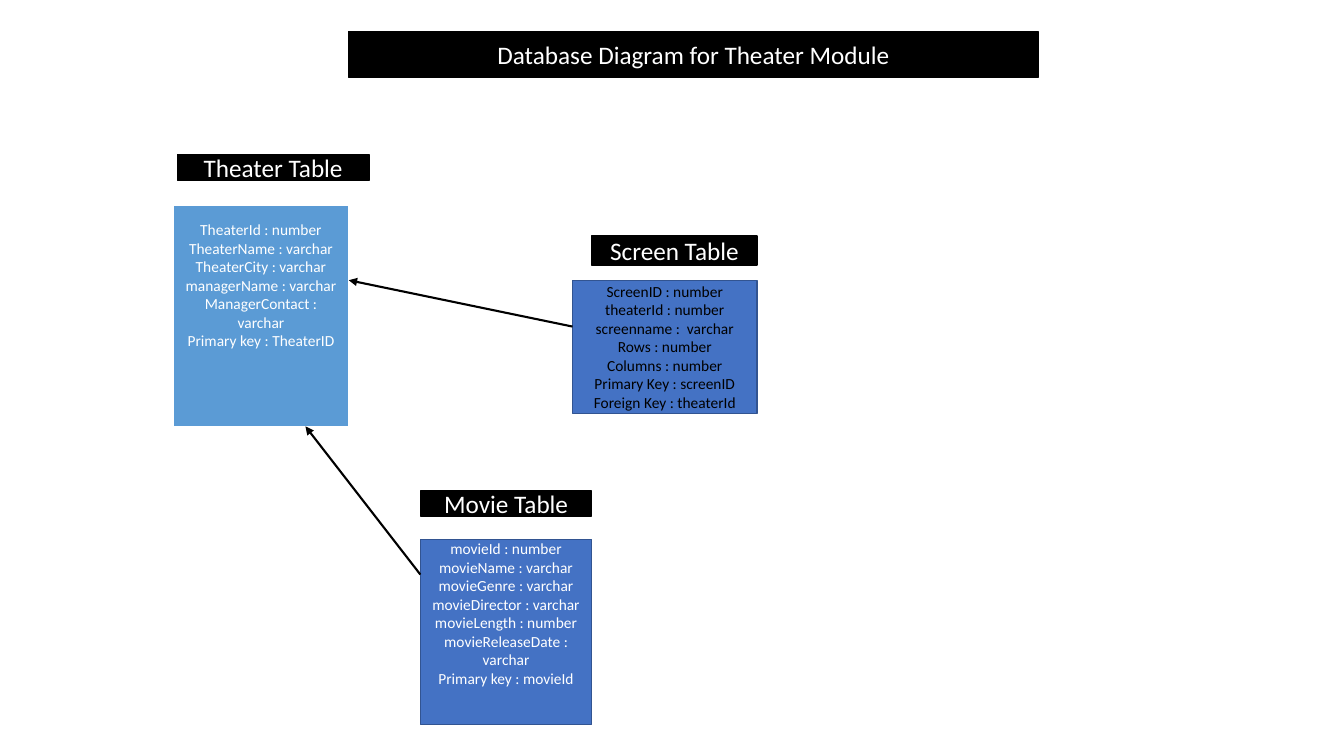
from pptx import Presentation
from pptx.dml.color import RGBColor
from pptx.enum.shapes import MSO_CONNECTOR, MSO_SHAPE
from pptx.enum.text import MSO_ANCHOR, MSO_AUTO_SIZE, PP_ALIGN
from pptx.oxml.ns import qn
from pptx.util import Inches, Pt
from lxml import etree

RECT = MSO_SHAPE.RECTANGLE
LINE = MSO_CONNECTOR.STRAIGHT
MIDDLE = MSO_ANCHOR.MIDDLE
CENTER = PP_ALIGN.CENTER
NO_FIT = MSO_AUTO_SIZE.NONE

BLACK = RGBColor(0x00, 0x00, 0x00)
WHITE = RGBColor(0xFF, 0xFF, 0xFF)
BLUE = RGBColor(0x44, 0x72, 0xC4)
NAVY = RGBColor(0x32, 0x54, 0x91)
SKY = RGBColor(0x5B, 0x9B, 0xD5)

# Name, header area, field area, fill, edge, edge width, ink, space below, fields.
# Areas are left, top, width, height in percent of the slide.
TABLES = [
    ("Screen Table", (44.03, 31.2, 12.3, 3.87), (42.6, 37.07, 13.73, 17.6),
     BLUE, NAVY, 1, BLACK, 0.05,
     ["ScreenID : number", "theaterId : number", "screenname :  varchar",
      "Rows : number", "Columns : number", "Primary Key : screenID",
      "Foreign Key : theaterId"]),
    ("Theater Table", (13.2, 20.4, 14.25, 3.47), (12.9, 27.07, 13.05, 29.47),
     SKY, WHITE, 1.5, WHITE, 0.66,
     ["TheaterId : number", "TheaterName : varchar", "TheaterCity : varchar",
      "managerName : varchar", "ManagerContact : varchar",
      "Primary key : TheaterID"]),
    ("Movie Table", (31.28, 64.93, 12.75, 3.33), (31.28, 71.33, 12.75, 24.53),
     BLUE, NAVY, 1, WHITE, 0.42,
     ["movieId : number", "movieName : varchar", "movieGenre : varchar",
      "movieDirector : varchar", "movieLength : number",
      "movieReleaseDate : varchar", "Primary key : movieId"]),
]

# Start and end of each foreign key arrow, in percent of the slide
LINKS = [
    ((42.6, 43.2), (25.95, 37.07)),
    ((31.28, 76), (22.73, 56.4)),
]


class Board:
    font = "Calibri"
    head = 18
    body = 11

    def __init__(self, deck):
        self.wide, self.high = deck.slide_width, deck.slide_height
        self.slide = deck.slides.add_slide(deck.slide_layouts[5])

    def spot(self, x, y):
        return round(self.wide * x / 100), round(self.high * y / 100)

    def area(self, left, top, width, height):
        return self.spot(left, top) + self.spot(width, height)

    def paint(self, shape, fill, edge, width):
        shape.fill.solid()
        shape.fill.fore_color.rgb = fill
        shape.line.color.rgb = edge
        shape.line.width = Pt(width)

    def text(self, shape, lines, size, ink, below=0.05):
        frame = shape.text_frame
        frame.word_wrap = True
        frame.auto_size = NO_FIT
        frame.vertical_anchor = MIDDLE
        frame.margin_bottom = Inches(below)
        for i, line in enumerate(lines):
            para = frame.add_paragraph() if i else frame.paragraphs[0]
            para.alignment = CENTER
            run = para.add_run()
            run.text = line
            run.font.name = self.font
            run.font.size = Pt(size)
            run.font.color.rgb = ink

    def title(self, words, area):
        shape = self.slide.shapes.title
        shape.left, shape.top, shape.width, shape.height = self.area(*area)
        self.paint(shape, BLACK, BLACK, 1)
        self.text(shape, [words], self.head, WHITE)

    def box(self, area, fill, edge, width):
        shape = self.slide.shapes.add_shape(RECT, *self.area(*area))
        shape.shadow.inherit = False
        self.paint(shape, fill, edge, width)
        return shape

    def label(self, words, area):
        shape = self.box(area, BLACK, BLACK, 1)
        self.text(shape, [words], self.head, WHITE)

    def table(self, name, top, area, fill, edge, width, ink, below, fields):
        shape = self.box(area, fill, edge, width)
        self.text(shape, fields, self.body, ink, below)
        self.label(name, top)

    def arrow(self, start, end):
        link = self.slide.shapes.add_connector(
            LINE, *self.spot(*start), *self.spot(*end))
        link.line.color.rgb = BLACK
        link.line.width = Pt(1.5)
        props = link.element.spPr
        tip = etree.SubElement(props.find(qn("a:ln")), qn("a:tailEnd"))
        tip.set("type", "triangle")
        etree.SubElement(props, qn("a:effectLst"))


def main():
    deck = Presentation()
    deck.slide_width, deck.slide_height = Inches(13.33), Inches(7.5)
    board = Board(deck)

    # Heading
    board.title("Database Diagram for Theater Module", (25.95, 4.13, 51.3, 6.13))

    # Tables with their headers
    for row in TABLES:
        board.table(*row)

    # Foreign key arrows
    for start, end in LINKS:
        board.arrow(start, end)

    deck.save("out.pptx")


if __name__ == "__main__":
    main()
